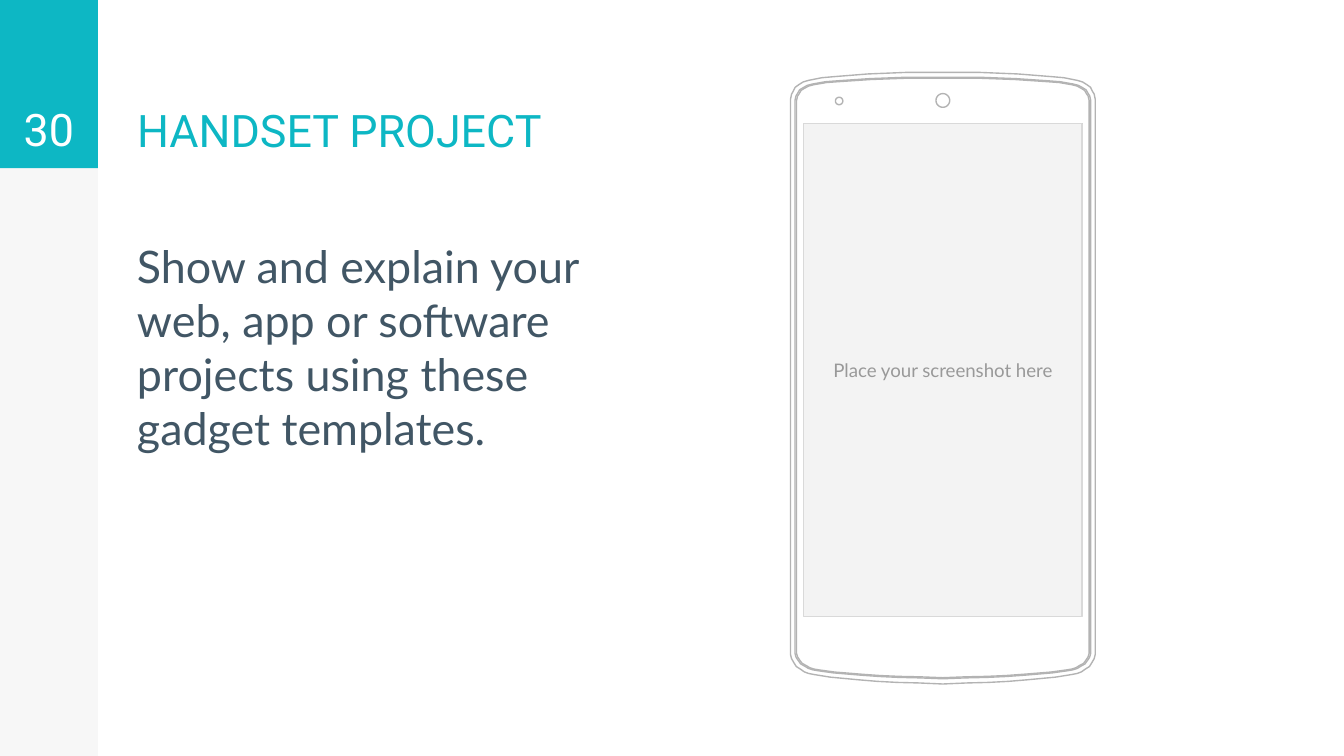
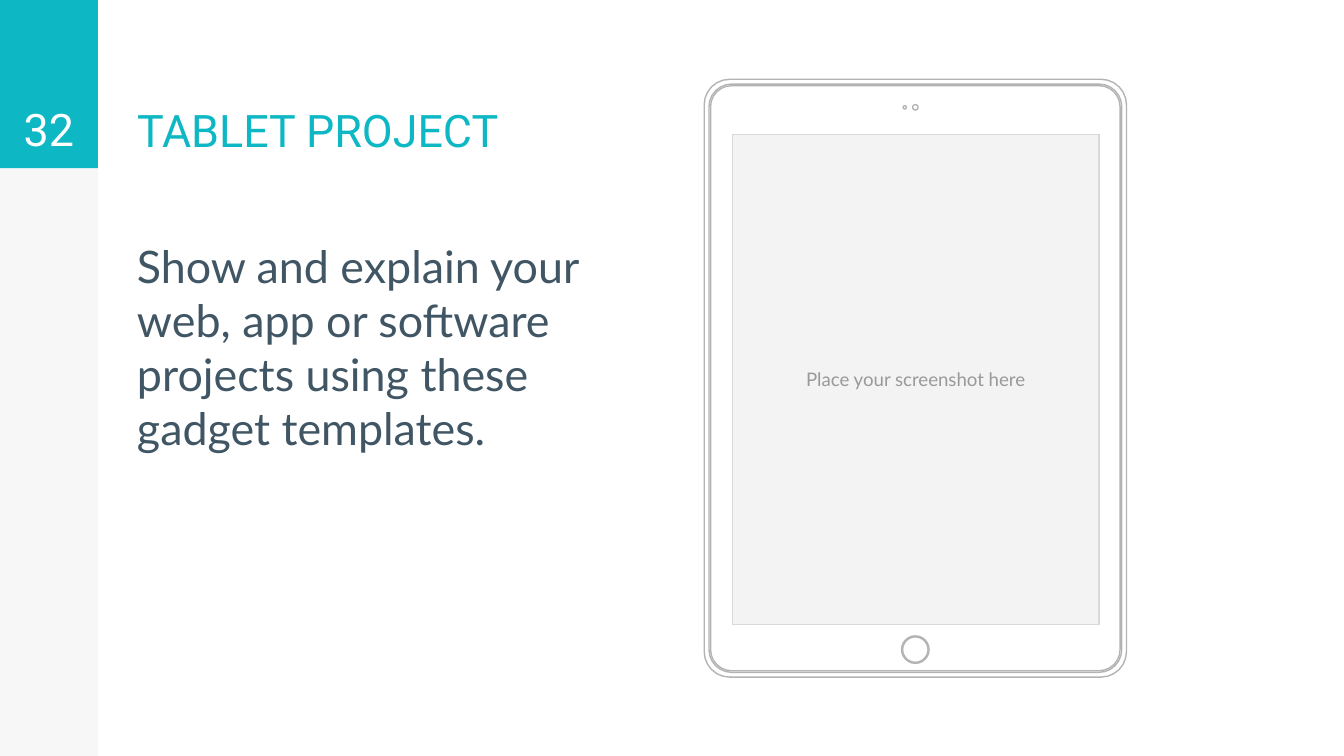
import math

from lxml import etree
from pptx import Presentation
from pptx import util as u
from pptx.dml.color import RGBColor
from pptx.enum import shapes, text
from pptx.oxml.ns import qn

TEAL, WHITE, BLACK, SLATE = "0DB7C4", "FFFFFF", "000000", "415665"
OUTLINE, SCREEN_FILL, SCREEN_LINE, HINT = "B3B3B3", "F3F3F3", "D9D9D9", "999999"
HEADING_FONT, BODY_FONT = "Roboto", "Lato"
SLIDE_WIDTH, SLIDE_HEIGHT = 25.4, 14.29
BAND_WIDTH, HEADER_HEIGHT = 1.85, 3.18
TEXT_LEFT, TEXT_WIDTH = 2.34, 9.88
INTRO = "Show and explain your web, app or software projects using these gadget templates."

# Right half of the phone's curved ends: distance from the centre line, height
PHONE_CENTRE = 17.82
PHONE_TOP = [(0, 1.37), (0.71, 1.37), (1.42, 1.4), (2.06, 1.45), (2.29, 1.47),
             (2.44, 1.5), (2.54, 1.52), (2.64, 1.55), (2.72, 1.6), (2.79, 1.65),
             (2.83, 1.73), (2.86, 1.78), (2.88, 1.88), (2.88, 1.98)]
PHONE_BOTTOM = [(2.88, 12.27), (2.88, 12.37), (2.86, 12.45), (2.82, 12.52),
                (2.77, 12.6), (2.69, 12.65), (2.62, 12.7), (2.54, 12.73),
                (2.44, 12.75), (2.13, 12.8), (1.6, 12.85), (1.24, 12.88),
                (0.86, 12.9), (0.46, 12.91), (0, 12.93)]
PHONE_SCREEN = (15.19, 2.34, 5.26, 9.32)

TABLET_BODY = (13.31, 1.5, 21.29, 12.8)
TABLET_CENTRE = 17.3
TABLET_SCREEN = (13.84, 2.54, 6.93, 9.27)


def color(hex_string):
    return RGBColor.from_string(hex_string)


def lengths(*values):
    return [u.Cm(value) for value in values]


def paint(shape, fill, line=None):
    shape.shadow.inherit = False
    shape.fill.solid()
    shape.fill.fore_color.rgb = color(fill)
    if line:
        shape.line.color.rgb = color(line)
        shape.line.width = u.Pt(0.75)
    else:
        shape.line.fill.background()


def write(shape, words, size, font, ink, align=text.PP_ALIGN.LEFT,
          anchor=text.MSO_ANCHOR.TOP, before=0):
    frame = shape.text_frame
    frame.text = words
    frame.word_wrap = True
    frame.auto_size = text.MSO_AUTO_SIZE.NONE
    frame.vertical_anchor = anchor
    frame.margin_left = frame.margin_right = u.Cm(0.25)
    frame.margin_top = frame.margin_bottom = u.Cm(0.25)
    para = frame.paragraphs[0]
    para.alignment = align
    para.space_before = u.Pt(before)
    span = para.runs[0]
    span.font.size = u.Pt(size)
    span.font.name = font
    span.font.color.rgb = color(ink)


def add_rectangle(slide, box, fill, line=None):
    rectangle = slide.shapes.add_shape(shapes.MSO_SHAPE.RECTANGLE, *lengths(*box))
    paint(rectangle, fill, line)
    return rectangle


def set_alpha(shape, percent):
    tint = shape.element.spPr.find(qn("a:solidFill"))[0]
    etree.SubElement(tint, qn("a:alpha")).set("val", str(percent * 1000))


def add_frame(deck, title, number):
    """Add a slide with its side bands, number, title and introduction."""
    slide = deck.slides.add_slide(deck.slide_layouts[5])
    set_alpha(add_rectangle(slide, (0, 0, BAND_WIDTH, SLIDE_HEIGHT), BLACK), 3)
    header = (0, 0, BAND_WIDTH, HEADER_HEIGHT)
    add_rectangle(slide, header, TEAL)

    number_box = slide.shapes.add_textbox(*lengths(*header))
    write(number_box, number, 24, HEADING_FONT, WHITE,
          text.PP_ALIGN.CENTER, text.MSO_ANCHOR.BOTTOM)

    heading = slide.shapes.title
    heading.left, heading.top, heading.width, heading.height = lengths(
        TEXT_LEFT, 0.03, TEXT_WIDTH, HEADER_HEIGHT)
    write(heading, title, 24, HEADING_FONT, TEAL, anchor=text.MSO_ANCHOR.BOTTOM)

    intro = slide.shapes.add_textbox(*lengths(TEXT_LEFT, 4.27, TEXT_WIDTH, 9.42))
    write(intro, INTRO, 24, BODY_FONT, SLATE, before=6)
    return slide


def rounded_contour(left, top, right, bottom, radius, steps=6):
    corners = [(right - radius, bottom - radius), (left + radius, bottom - radius),
               (left + radius, top + radius), (right - radius, top + radius)]
    points = []
    for quarter, (x, y) in enumerate(corners):
        for step in range(steps + 1):
            angle = (quarter + step / steps) * math.pi / 2
            points.append((x + radius * math.cos(angle), y + radius * math.sin(angle)))
    return points


def circle_contour(x, y, radius):
    return rounded_contour(x - radius, y - radius, x + radius, y + radius, radius)


def screen_contour(left, top, width, height):
    right, bottom = left + width, top + height - 0.05
    return [(left, top), (right, top), (right, bottom), (left, bottom)]


def phone_contour(x_scale, y_scale):
    """Mirror the half outline, shrinking its ends towards the straight sides."""
    half = []
    for curve, side_end in ((PHONE_TOP, PHONE_TOP[-1][1]),
                            (PHONE_BOTTOM, PHONE_BOTTOM[0][1])):
        half += [(x * x_scale, side_end + (y - side_end) * y_scale) for x, y in curve]
    mirrored = [(-x, y) for x, y in reversed(half[1:-1])]
    return [(PHONE_CENTRE + x, y) for x, y in half + mirrored]


def tablet_contour(inset, radius):
    left, top, right, bottom = TABLET_BODY
    return rounded_contour(left + inset, top + inset, right - inset, bottom - inset, radius)


def add_device(slide, contours, screen):
    """Draw all contours as one outline and lay the screen on it."""
    first, *others = [[lengths(*point) for point in contour] for contour in contours]
    builder = slide.shapes.build_freeform(*first[0])
    builder.add_line_segments(first[1:], close=True)
    for contour in others:
        builder.move_to(*contour[0])
        builder.add_line_segments(contour[1:], close=True)
    paint(builder.convert_to_shape(), WHITE, OUTLINE)

    display = add_rectangle(slide, screen, SCREEN_FILL, SCREEN_LINE)
    write(display, "Place your screenshot here", 10, BODY_FONT, HINT,
          text.PP_ALIGN.CENTER, text.MSO_ANCHOR.MIDDLE)


def add_phone(slide):
    contours = [phone_contour(*scales) for scales in ((1, 1), (0.97, 0.85), (0.96, 0.82))]
    contours += [circle_contour(PHONE_CENTRE, 1.9, 0.13),
                 circle_contour(15.86, 1.91, 0.07),
                 screen_contour(*PHONE_SCREEN)]
    add_device(slide, contours, PHONE_SCREEN)


def add_tablet(slide):
    contours = [tablet_contour(*rim) for rim in ((0, 0.48), (0.09, 0.43), (0.12, 0.4))]
    contours += [circle_contour(TABLET_CENTRE, 12.28, radius) for radius in (0.26, 0.24)]
    contours += [circle_contour(TABLET_CENTRE, 2.03, 0.05),
                 circle_contour(17.1, 2.03, 0.03),
                 screen_contour(*TABLET_SCREEN)]
    add_device(slide, contours, TABLET_SCREEN)


def main():
    deck = Presentation()
    deck.slide_width, deck.slide_height = lengths(SLIDE_WIDTH, SLIDE_HEIGHT)
    add_phone(add_frame(deck, "HANDSET PROJECT", "30"))
    add_tablet(add_frame(deck, "TABLET PROJECT", "32"))
    deck.save("out.pptx")


if __name__ == "__main__":
    main()
